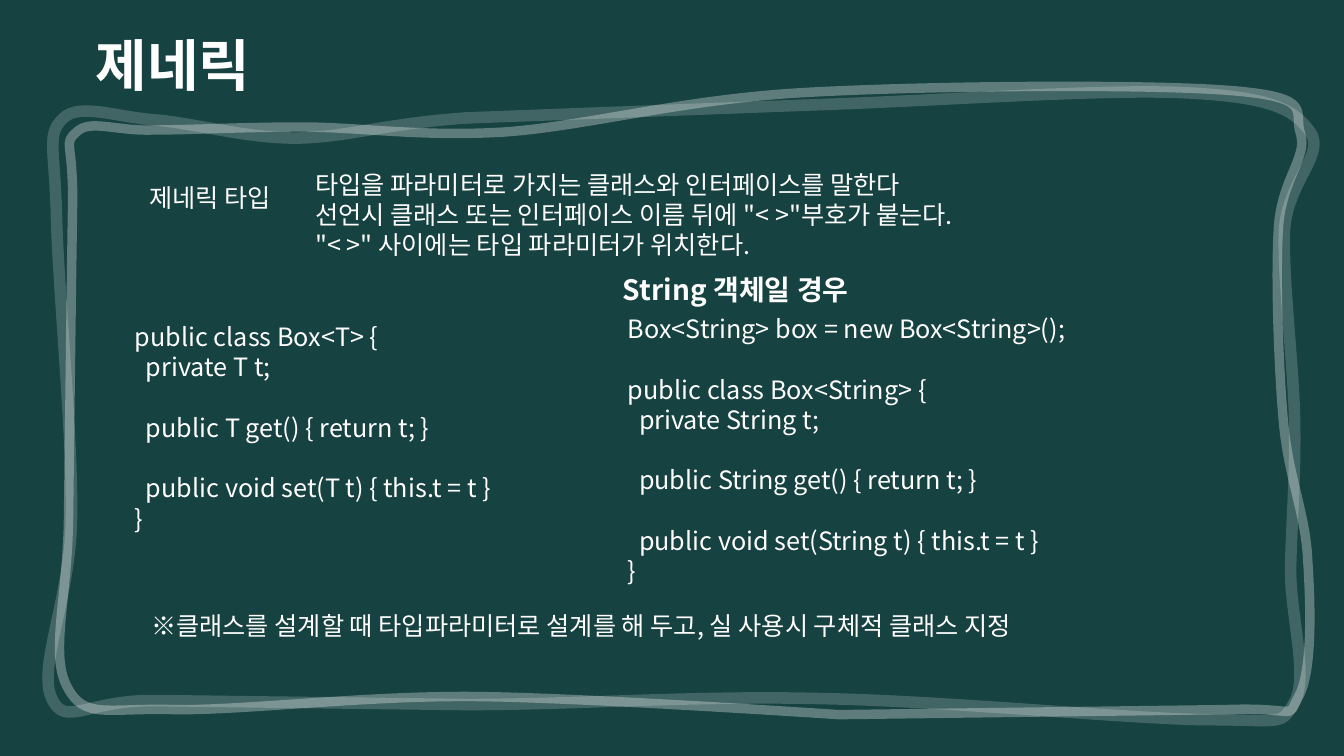
from lxml.etree import SubElement
from pptx import Presentation
from pptx.dml.color import RGBColor
from pptx.enum.text import MSO_ANCHOR, MSO_AUTO_SIZE, PP_ALIGN
from pptx.oxml.ns import qn
from pptx.util import Pt

PX = 9144  # 100 px to the inch
FONT = "Noto Sans CJK KR"
COLORS = {"board": "164241", "chalk": "FFFFFF"}
LINE_RATIO = 1.2
INDENT = 11

# Each step is a curve (two control points and an end) or a line (an end).
INNER_FRAME = [
    (151, 129),
    (114, 130, 89, 118, 76, 131), (62, 143, 73, 140, 72, 204),
    (71, 268, 69, 434, 68, 514), (67, 594, 49, 650, 67, 682),
    (84, 714, 106, 702, 173, 704), (240, 705, 361, 690, 471, 691),
    (580, 692, 832, 709, 832, 709), (1215, 704),
    (1291, 701, 1275, 716, 1288, 691), (1302, 666, 1300, 600, 1297, 555),
    (1295, 510, 1278, 474, 1273, 419), (1268, 364, 1265, 273, 1268, 226),
    (1271, 178, 1297, 156, 1290, 133), (1282, 111, 1306, 97, 1223, 90),
    (1141, 83, 915, 85, 795, 92), (674, 99, 583, 125, 500, 131),
    (417, 136, 357, 126, 299, 126), (240, 126, 188, 129, 151, 129),
]
OUTER_FRAME = [
    (154, 119),
    (115, 116, 79, 102, 63, 117), (46, 133, 54, 145, 56, 211),
    (57, 276, 72, 430, 71, 510), (71, 591, 37, 661, 51, 692),
    (64, 723, 86, 694, 154, 695), (462, 699),
    (572, 699, 690, 690, 812, 693), (934, 695, 1117, 713, 1196, 714),
    (1274, 714, 1270, 721, 1284, 696), (1298, 671, 1280, 611, 1280, 565),
    (1281, 519, 1285, 474, 1284, 417), (1283, 361, 1272, 276, 1274, 228),
    (1277, 180, 1316, 152, 1299, 130), (1282, 107, 1257, 96, 1175, 92),
    (1093, 88, 930, 100, 808, 104), (462, 117),
    (379, 123, 346, 136, 294, 137), (243, 137, 192, 122, 154, 119),
]


def color(name):
    return RGBColor.from_string(COLORS[name])


def place(shape, box):
    shape.left, shape.top, shape.width, shape.height = (PX * n for n in box)


def write(shape, lines, size=18, bold=False, spacing=LINE_RATIO):
    """Fill a shape; a line is text or (text, indent level, lines of space before)."""
    frame = shape.text_frame
    frame.word_wrap = True
    frame.auto_size = MSO_AUTO_SIZE.NONE
    frame.vertical_anchor = MSO_ANCHOR.TOP
    for index, line in enumerate(lines):
        text, level, gap = (line, 0, 0) if isinstance(line, str) else line
        paragraph = frame.add_paragraph() if index else frame.paragraphs[0]
        paragraph.alignment = PP_ALIGN.LEFT
        paragraph.line_spacing = Pt(size * spacing)
        paragraph.space_before = Pt(size * spacing * gap)
        paragraph._p.get_or_add_pPr().set("marL", str(level * INDENT * PX))
        run = paragraph.add_run()
        run.text = text
        run.font.size = Pt(size)
        run.font.bold = bold
        run.font.name = FONT
        run.font.color.rgb = color("chalk")


def add_text(slide, box, lines, **text_format):
    shape = slide.shapes.add_textbox(0, 0, 0, 0)
    place(shape, box)
    write(shape, lines, **text_format)


def bend_segments(shape, steps):
    """Turn the straight segments of a freeform into the curves among the steps."""
    segments = list(shape._element.iter(qn("a:lnTo")))
    for segment, step in zip(segments, steps):
        if len(step) == 2:
            continue
        segment.clear()
        segment.tag = qn("a:cubicBezTo")
        for x, y in zip(step[::2], step[1::2]):
            point = SubElement(segment, qn("a:pt"))
            point.set("x", str(x * PX - shape.left))
            point.set("y", str(y * PX - shape.top))


def add_chalk_frame(slide, steps, width, opacity):
    corners = [(step[-2] * PX, step[-1] * PX) for step in steps]
    builder = slide.shapes.build_freeform(*corners[0], scale=1.0)
    builder.add_line_segments(corners[1:], close=True)
    shape = builder.convert_to_shape()
    bend_segments(shape, steps[1:])
    shape.shadow.inherit = False
    shape.fill.background()
    shape.line.width = Pt(width)
    shape.line.color.rgb = color("chalk")
    chalk = shape.line._ln.find(".//" + qn("a:srgbClr"))
    SubElement(chalk, qn("a:alpha")).set("val", str(opacity * 1000))


def add_title(slide, box, text):
    place(slide.shapes.title, box)
    write(slide.shapes.title, [text], size=40, bold=True, spacing=1.8)


def add_definition(slide, left, top):
    add_text(slide, (left, top + 13, 163, 40), ["제네릭 타입"])
    add_text(slide, (left + 165, top, 727, 99), [
        "타입을 파라미터로 가지는 클래스와 인터페이스를 말한다",
        '선언시 클래스 또는 인터페이스 이름 뒤에 "< >"부호가 붙는다.',
        '"< >" 사이에는 타입 파라미터가 위치한다.',
    ])


def box_class(type_name, gap=0):
    """Lines of the Box class for one type, with a gap above the first."""
    return [
        (f"public class Box<{type_name}> {{", 0, gap),
        (f"private {type_name} t;", 1, 0),
        (f"public {type_name} get() {{ return t; }}", 1, 1),
        (f"public void set({type_name} t) {{ this.t = t }}", 1, 1),
        "}",
    ]


def add_string_case(slide, left, top):
    add_text(slide, (left, top, 300, 43), ["String 객체일 경우"], size=20, bold=True)
    add_text(slide, (left + 5, top + 41, 465, 279),
             ["Box<String> box = new Box<String>();", *box_class("String", gap=1)])


def main():
    presentation = Presentation()
    presentation.slide_width = 1333 * PX
    presentation.slide_height = 750 * PX
    slide = presentation.slides.add_slide(presentation.slide_layouts[5])
    slide.background.fill.solid()
    slide.background.fill.fore_color.rgb = color("board")

    add_title(slide, (85, -8, 594, 110), "제네릭")
    add_chalk_frame(slide, INNER_FRAME, width=6.75, opacity=31)
    add_chalk_frame(slide, OUTER_FRAME, width=8.25, opacity=18)
    add_definition(slide, 138, 163)
    add_text(slide, (124, 314, 387, 280), box_class("T"))
    add_string_case(slide, 608, 265)
    add_text(slide, (140, 601, 1052, 70),
             ["※클래스를 설계할 때 타입파라미터로 설계를 해 두고, 실 사용시 구체적 클래스 지정"])
    presentation.save("out.pptx")


if __name__ == "__main__":
    main()
